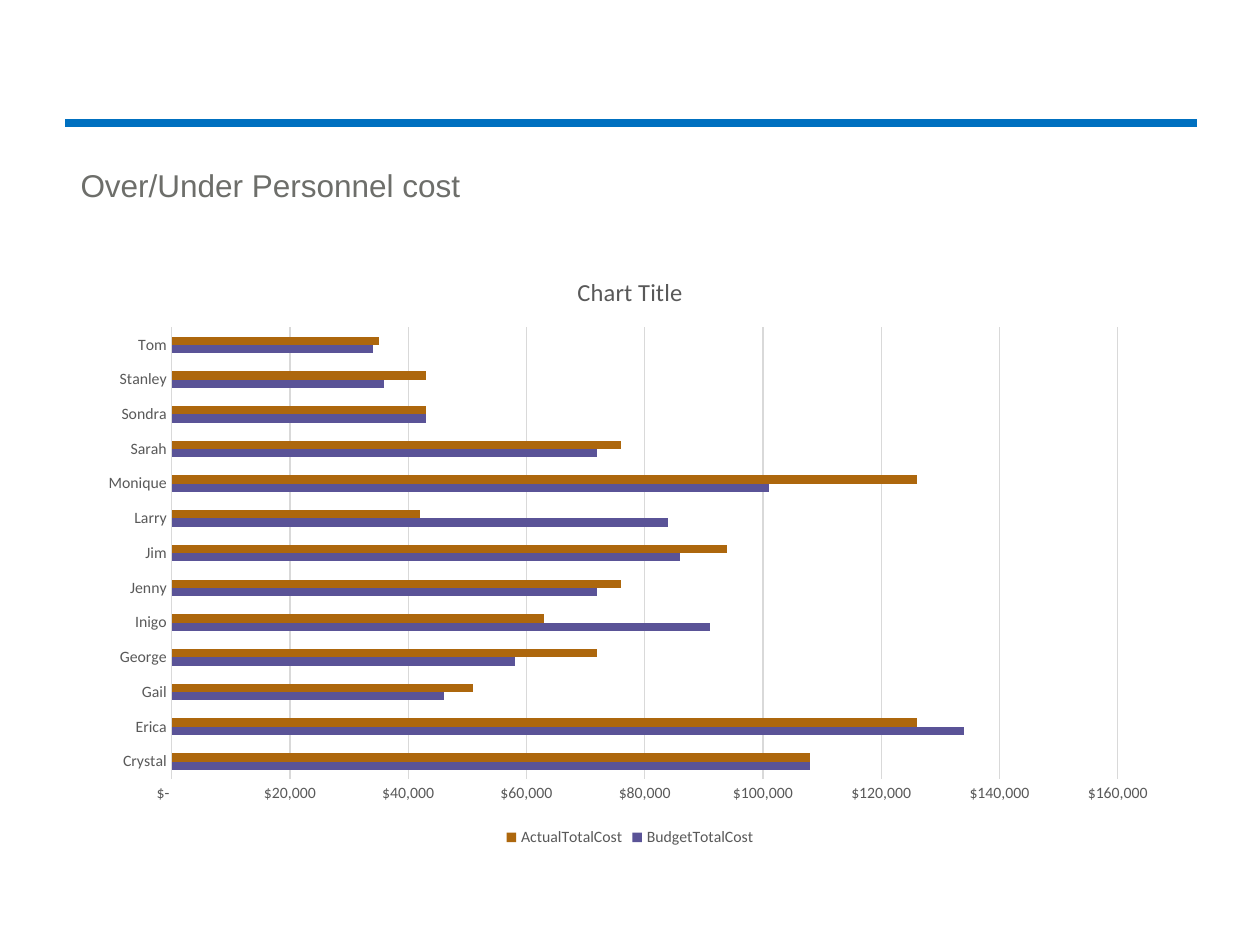
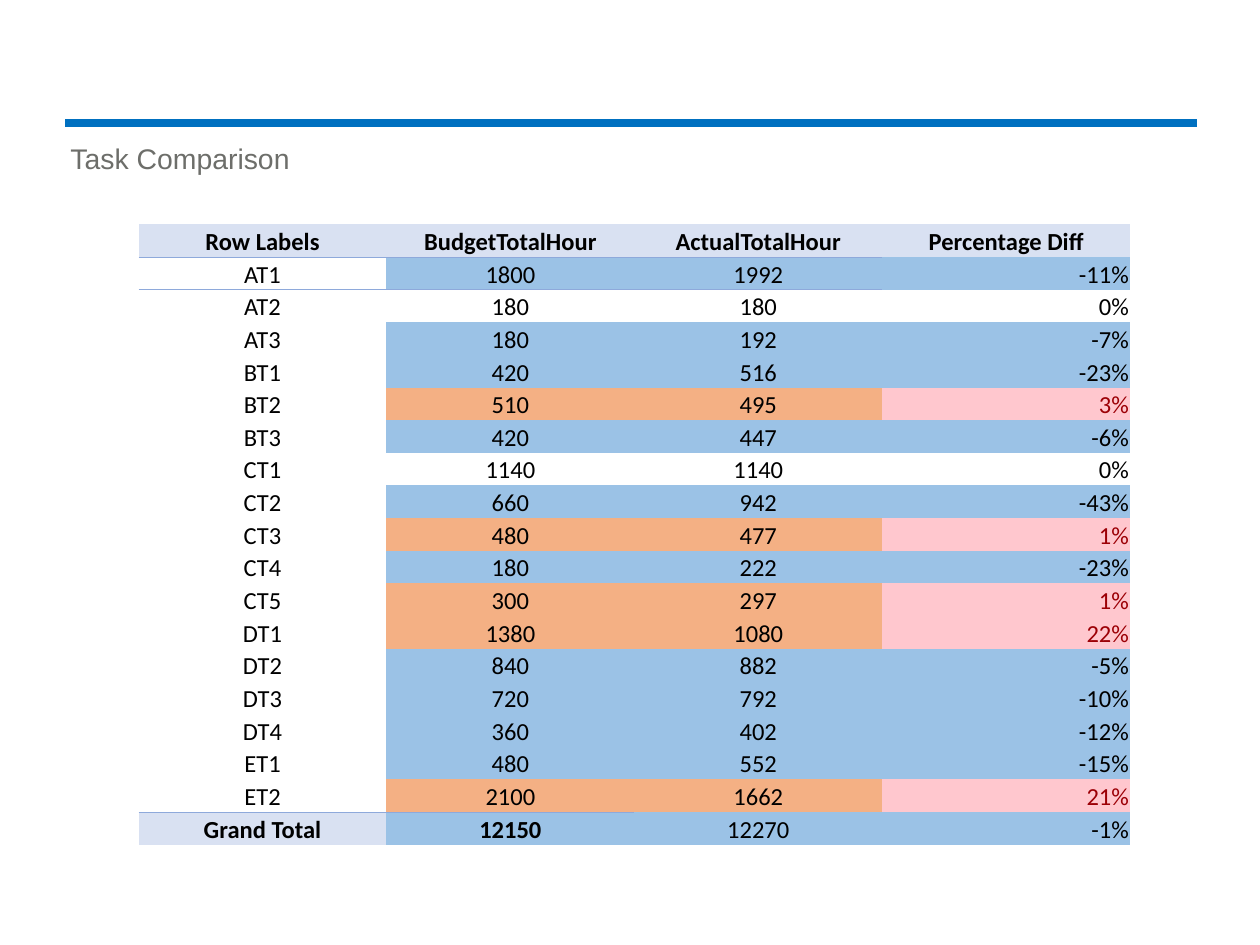
from lxml import etree
from pptx import Presentation
from pptx.chart.data import CategoryChartData
from pptx.dml.color import RGBColor
from pptx.enum.chart import XL_CHART_TYPE, XL_LEGEND_POSITION, XL_TICK_MARK
from pptx.enum.shapes import MSO_CONNECTOR
from pptx.enum.text import MSO_ANCHOR, PP_ALIGN
from pptx.oxml.ns import qn
from pptx.util import Pt

BAR = XL_CHART_TYPE.BAR_CLUSTERED
BOTTOM = XL_LEGEND_POSITION.BOTTOM
NO_TICK = XL_TICK_MARK.NONE
STRAIGHT = MSO_CONNECTOR.STRAIGHT
MIDDLE, LOW = MSO_ANCHOR.MIDDLE, MSO_ANCHOR.BOTTOM
CENTER, RIGHT = PP_ALIGN.CENTER, PP_ALIGN.RIGHT

RULE, TITLE = "0070C0", "6D6E6A"
GRAY, GRID, BLACK = "595959", "D9D9D9", "000000"
HEAD, EDGE = "D9E1F2", "8EA9DB"
OVER, UNDER, PINK, RED = "9BC2E6", "F4B084", "FFC7CE", "9C0006"
PLAIN_STYLE = "{2D5ABB26-0587-4C30-8999-92F81FD0307C}"
MONEY = r'_("$"* #,##0_);_("$"* \(#,##0\);_("$"* "-"??_);_(@_)'

NAMES = ["Crystal", "Erica", "Gail", "George", "Inigo", "Jenny", "Jim",
         "Larry", "Monique", "Sarah", "Sondra", "Stanley", "Tom"]
# name, colour, thousands of dollars
COSTS = [
    ("BudgetTotalCost", "5A5397",
     [108, 134, 46, 58, 91, 72, 86, 84, 101, 72, 43, 36, 34]),
    ("ActualTotalCost", "AD670D",
     [108, 126, 51, 72, 63, 76, 94, 42, 126, 76, 43, 43, 35]),
]

HEADS = ["Row Labels", "BudgetTotalHour", "ActualTotalHour", "Percentage Diff"]
# task, budget hours, actual hours
TASKS = [
    ("AT1", 1800, 1992), ("AT2", 180, 180), ("AT3", 180, 192),
    ("BT1", 420, 516), ("BT2", 510, 495), ("BT3", 420, 447),
    ("CT1", 1140, 1140), ("CT2", 660, 942), ("CT3", 480, 477),
    ("CT4", 180, 222), ("CT5", 300, 297), ("DT1", 1380, 1080),
    ("DT2", 840, 882), ("DT3", 720, 792), ("DT4", 360, 402),
    ("ET1", 480, 552), ("ET2", 2100, 1662), ("Grand Total", 12150, 12270),
]


def color(code):
    return RGBColor.from_string(code)


def set_font(font, size, code, name="Calibri", bold=False):
    font.size, font.name, font.bold = Pt(size), name, bold
    font.color.rgb = color(code)


def add_page(deck, title, box, size):
    """Slide with the blue rule and its title."""
    slide = deck.slides.add_slide(deck.slide_layouts[6])
    rule = slide.shapes.add_connector(
        STRAIGHT, Pt(37.4), Pt(70.5), Pt(684), Pt(70.5))
    rule.line.color.rgb = color(RULE)
    rule.line.width = Pt(4.5)
    etree.SubElement(rule.element.spPr, qn("a:effectLst"))

    frame = slide.shapes.add_textbox(*map(Pt, box)).text_frame
    frame.word_wrap = True
    frame.vertical_anchor = MIDDLE
    frame.margin_left = frame.margin_right = 0
    para = frame.paragraphs[0]
    para.text = title
    para.line_spacing = 0.9
    set_font(para.font, size, TITLE, "Arial")
    return slide


def add_costs(slide, box):
    """Bar chart of budget and actual cost per person."""
    data = CategoryChartData(number_format=MONEY)
    data.categories = NAMES
    for name, _, costs in COSTS:
        data.add_series(name, [cost * 1000 for cost in costs])
    chart = slide.shapes.add_chart(BAR, *map(Pt, box), data).chart
    set_font(chart.font, 10, BLACK)

    # Title and legend
    chart.has_title = True
    para = chart.chart_title.text_frame.paragraphs[0]
    para.text = "Chart Title"
    set_font(para.font, 14, GRAY)
    chart.chart_title.include_in_layout = False
    chart.has_legend = True
    chart.legend.position = BOTTOM
    chart.legend.include_in_layout = False
    set_font(chart.legend.font, 9, GRAY)

    # Bars
    plot = chart.plots[0]
    plot.gap_width, plot.overlap = 219, 0
    plot.vary_by_categories = False
    for bars, (_, code, _) in zip(plot.series, COSTS):
        bars.format.fill.solid()
        bars.format.fill.fore_color.rgb = color(code)
        bars.invert_if_negative = False

    # Axes
    people, money = chart.category_axis, chart.value_axis
    for axis in (people, money):
        axis.major_tick_mark = axis.minor_tick_mark = NO_TICK
        set_font(axis.tick_labels.font, 9, GRAY)
    money.format.line.fill.background()
    money.tick_labels.number_format = MONEY
    money.tick_labels.number_format_is_linked = False
    for line in (people.format.line, money.major_gridlines.format.line):
        line.color.rgb = color(GRID)
        line.width = Pt(0.75)


def add_edge(cell, side):
    """Thin line at the top (lnT) or bottom (lnB) of a cell."""
    line = etree.Element(qn(f"a:{side}"), w=str(Pt(0.5)))
    fill = etree.SubElement(line, qn("a:solidFill"))
    etree.SubElement(fill, qn("a:srgbClr"), val=EDGE)
    cell._tc.get_or_add_tcPr().insert(0, line)


def fill_cell(cell, text, fill, ink=BLACK, bold=False, align=CENTER):
    cell.margin_left = cell.margin_right = cell.margin_top = Pt(0.7)
    cell.margin_bottom = 0
    cell.vertical_anchor = LOW
    if fill:
        cell.fill.solid()
        cell.fill.fore_color.rgb = color(fill)
    else:
        cell.fill.background()
    para = cell.text_frame.paragraphs[0]
    para.text, para.alignment = text, align
    set_font(para.font, 14, ink, bold=bold)


def add_tasks(slide, box):
    """Table of hours, coloured by the sign of the difference."""
    left, top, width, height = box
    count = len(TASKS) + 1
    frame = slide.shapes.add_table(count, len(HEADS), *map(Pt, box))
    table = frame.table
    table.first_row = table.horz_banding = False
    for style in frame.element.iter(qn("a:tableStyleId")):
        style.text = PLAIN_STYLE
    for col in table.columns:
        col.width = Pt(width / len(HEADS))
    for row in table.rows:
        row.height = Pt(height / count)

    for col, head in enumerate(HEADS):
        fill_cell(table.cell(0, col), head, HEAD, bold=True)
    for row, (task, budget, actual) in enumerate(TASKS, 1):
        total = row == len(TASKS)
        diff = (budget - actual) / budget
        fill = OVER if diff < 0 else UNDER if diff > 0 else None
        name, plan, spent, share = (table.cell(row, col) for col in range(4))
        fill_cell(name, task, HEAD if total else None, bold=total)
        fill_cell(plan, str(budget), fill, bold=total)
        fill_cell(spent, str(actual), fill)
        fill_cell(share, f"{diff:.0%}", PINK if diff > 0 else fill,
                  RED if diff > 0 else BLACK, align=RIGHT)

    # Lines below the heads and above the total
    for row, cols in ((0, 3), (count - 2, 2)):
        for col in range(cols):
            add_edge(table.cell(row, col), "lnB")
            add_edge(table.cell(row + 1, col), "lnT")


def main():
    deck = Presentation()
    deck.slide_width, deck.slide_height = Pt(720), Pt(540)
    page = add_page(deck, "Over/Under Personnel cost", (46, 77, 649.5, 60.5), 18)
    add_costs(page, (49.7, 144, 620.6, 342.7))
    page = add_page(deck, "Task Comparison", (40.3, 80.6, 648, 21.6), 16.2)
    add_tasks(page, (79.2, 128.2, 566.6, 354.4))
    deck.save("out.pptx")


if __name__ == "__main__":
    main()
